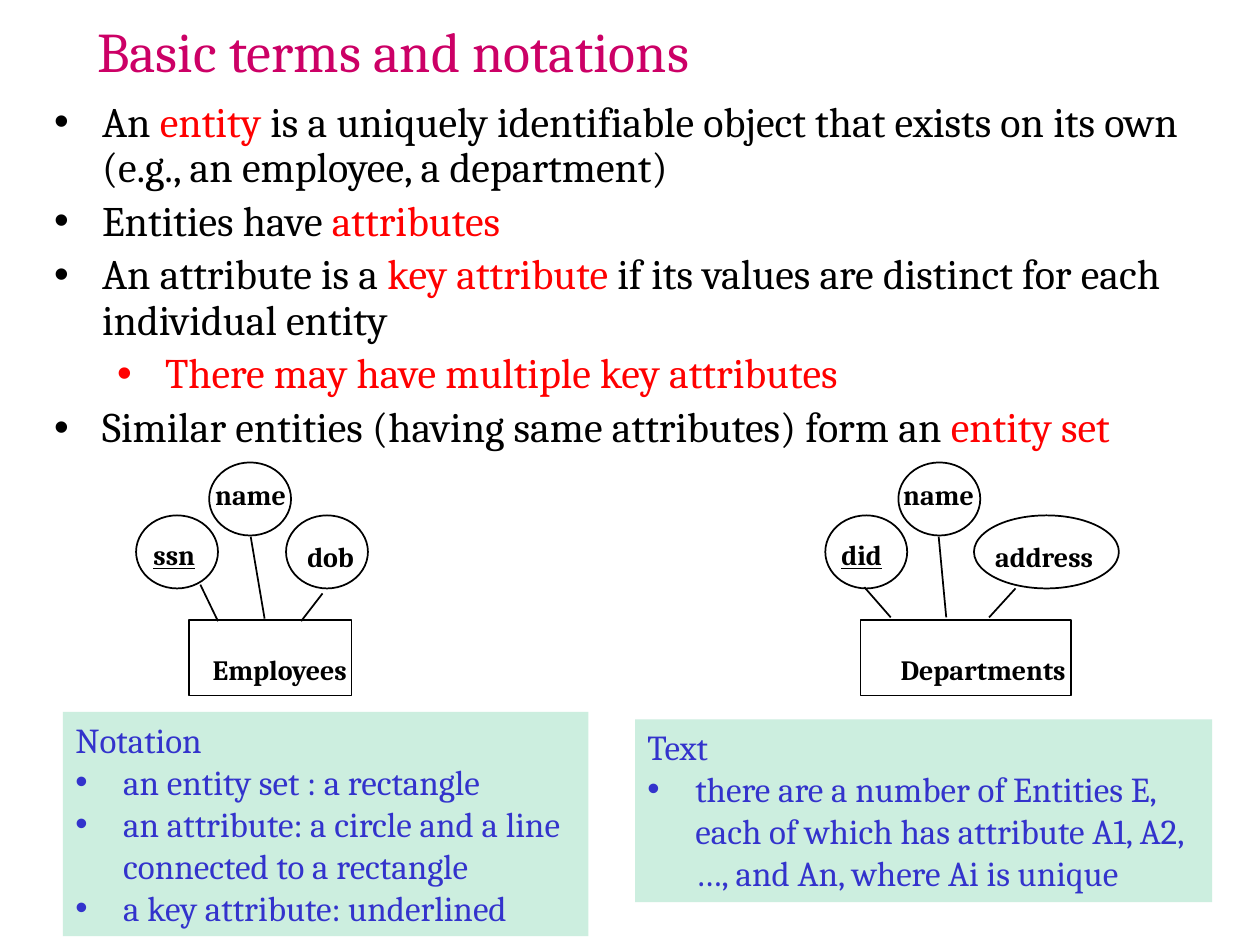
from lxml import etree
from pptx import Presentation
from pptx.dml.color import RGBColor
from pptx.enum.shapes import MSO_CONNECTOR, MSO_SHAPE
from pptx.enum.text import MSO_ANCHOR, MSO_AUTO_SIZE, PP_ALIGN
from pptx.oxml.ns import qn
from pptx.util import Inches, Pt

OVAL, RECTANGLE = MSO_SHAPE.OVAL, MSO_SHAPE.RECTANGLE
STRAIGHT = MSO_CONNECTOR.STRAIGHT
TOP, LEFT = MSO_ANCHOR.TOP, PP_ALIGN.LEFT
NO_FIT, GROW = MSO_AUTO_SIZE.NONE, MSO_AUTO_SIZE.SHAPE_TO_FIT_TEXT

BLACK = RGBColor(0x00, 0x00, 0x00)
RED = RGBColor(0xFF, 0x00, 0x00)
MAGENTA = RGBColor(0xCC, 0x00, 0x66)
BLUE = RGBColor(0x33, 0x33, 0xCC)
MINT = RGBColor(0xCC, 0xEE, 0xDF)

FONT = "Cambria"
HANG = 0.38
CIRCLE_WIDTH, OVAL_HEIGHT = 0.65, 0.58
ENTITY_TOP, ENTITY_HEIGHT = 4.92, 0.6
LABEL_HEIGHT = 0.37

TITLE = "Basic terms and notations"

# (level, [(text, colour), ...])
TERMS = [
    (0, [("An ", BLACK), ("entity ", RED),
         ("is a uniquely identifiable object that exists on its own "
          "(e.g., an employee, a department)", BLACK)]),
    (0, [("Entities have ", BLACK), ("attributes", RED)]),
    (0, [("An attribute is a ", BLACK), ("key attribute ", RED),
         ("if its values are distinct for each individual entity", BLACK)]),
    (1, [("There may have multiple key attributes", RED)]),
    (0, [("Similar entities (having same attributes) form an ", BLACK),
         ("entity set", RED)]),
]

# Attributes: text, key, oval (left, top, width), label (left, top, width), line (from, to)
ENTITY_SETS = [
    {"name": "Employees", "box": (1.5, 1.29), "label": (1.59, 5.13, 1.37),
     "attributes": [
         ("name", False, (1.66, 3.67, CIRCLE_WIDTH), (1.61, 3.74, 0.78), (1.99, 4.26, 2.1, 4.91)),
         ("ssn", True, (1.08, 4.09, CIRCLE_WIDTH), (1.12, 4.22, 0.54), (1.59, 4.64, 1.73, 4.93)),
         ("dob", False, (2.27, 4.09, CIRCLE_WIDTH), (2.34, 4.23, 0.61), (2.56, 4.71, 2.39, 4.93)),
     ]},
    {"name": "Departments", "box": (6.83, 1.67), "label": (7.05, 5.13, 1.57),
     "attributes": [
         ("name", False, (7.13, 3.67, CIRCLE_WIDTH), (7.07, 3.74, 0.78), (7.45, 4.26, 7.51, 4.9)),
         ("did", True, (6.55, 4.09, CIRCLE_WIDTH), (6.58, 4.22, 0.54), (6.86, 4.66, 7.07, 4.9)),
         ("address", False, (7.73, 4.09, 1.15), (7.8, 4.23, 1.02), (8.06, 4.67, 7.85, 4.9)),
     ]},
]

NOTES = [
    ("Notation", (0.5, 5.65, 4.17, 1.78),
     ["an entity set : a rectangle",
      "an attribute: a circle and a line connected to a rectangle",
      "a key attribute: underlined"]),
    ("Text", (5.04, 5.71, 4.58, 1.45),
     ["there are a number of Entities E, each of which has attribute A1, A2, "
      "…, and An, where Ai is unique"]),
]


def inches(*lengths):
    return [Inches(length) for length in lengths]


def add_run(paragraph, text, size, color, **formats):
    run = paragraph.add_run()
    run.text = text
    settings = {"name": FONT, "size": Pt(size), **formats}
    for attribute, value in settings.items():
        setattr(run.font, attribute, value)
    run.font.color.rgb = color


def set_bullet(paragraph, indent):
    properties = paragraph._p.get_or_add_pPr()
    properties.set("marL", str(Inches(indent)))
    properties.set("indent", str(-Inches(HANG)))
    etree.SubElement(properties, qn("a:buFont"), typeface="Arial")
    etree.SubElement(properties, qn("a:buChar"), char="•")


def place(shape, *box):
    shape.left, shape.top, shape.width, shape.height = inches(*box)


def set_frame(frame, **formats):
    settings = {"word_wrap": True, "auto_size": NO_FIT, "vertical_anchor": TOP, **formats}
    for attribute, value in settings.items():
        setattr(frame, attribute, value)


def next_paragraph(frame, index):
    paragraph = frame.add_paragraph() if index else frame.paragraphs[0]
    paragraph.alignment = LEFT
    return paragraph


def add_outline(slide, kind, *box):
    shape = slide.shapes.add_shape(kind, *inches(*box))
    shape.shadow.inherit = False
    shape.fill.background()
    shape.line.color.rgb = BLACK
    shape.line.width = Pt(1)


def add_label(slide, text, box, underline=False):
    label = slide.shapes.add_textbox(*inches(*box, LABEL_HEIGHT))
    set_frame(label.text_frame, word_wrap=False, auto_size=GROW)
    add_run(next_paragraph(label.text_frame, 0), text, 16, BLACK, bold=True, underline=underline)


def add_line(slide, *ends):
    line = slide.shapes.add_connector(STRAIGHT, *inches(*ends))
    line.line.color.rgb = BLACK
    line.line.width = Pt(1)
    etree.SubElement(line._element.spPr, qn("a:effectLst"))


def add_entity_set(slide, entity):
    left, width = entity["box"]
    add_outline(slide, RECTANGLE, left, ENTITY_TOP, width, ENTITY_HEIGHT)
    add_label(slide, entity["name"], entity["label"])
    for text, is_key, oval, label, line in entity["attributes"]:
        add_outline(slide, OVAL, *oval, OVAL_HEIGHT)
        add_label(slide, text, label, is_key)
        add_line(slide, *line)


def add_note(slide, heading, box, points):
    note = slide.shapes.add_shape(RECTANGLE, *inches(*box))
    note.shadow.inherit = False
    note.fill.solid()
    note.fill.fore_color.rgb = MINT
    note.line.fill.background()
    set_frame(note.text_frame, auto_size=GROW)
    for index, text in enumerate([heading, *points]):
        paragraph = next_paragraph(note.text_frame, index)
        if index:
            set_bullet(paragraph, HANG)
        add_run(paragraph, text, 20, BLUE)


def main():
    deck = Presentation()
    deck.slide_width, deck.slide_height = inches(10, 7.5)
    slide = deck.slides.add_slide(deck.slide_layouts[1])
    title, body = slide.placeholders

    place(title, 0.67, 0.08, 8.75, 0.64)
    set_frame(title.text_frame)
    add_run(next_paragraph(title.text_frame, 0), TITLE, 32, MAGENTA)

    place(body, 0.33, 0.75, 9.33, 2.75)
    set_frame(body.text_frame)
    for index, (level, runs) in enumerate(TERMS):
        paragraph = next_paragraph(body.text_frame, index)
        paragraph.level = level
        paragraph.line_spacing = 0.9
        paragraph.space_before = Pt(4.8)
        set_bullet(paragraph, HANG + 0.5 * level)
        for text, color in runs:
            add_run(paragraph, text, 24, color)

    for entity in ENTITY_SETS:
        add_entity_set(slide, entity)
    for note in NOTES:
        add_note(slide, *note)
    deck.save("out.pptx")


if __name__ == "__main__":
    main()
